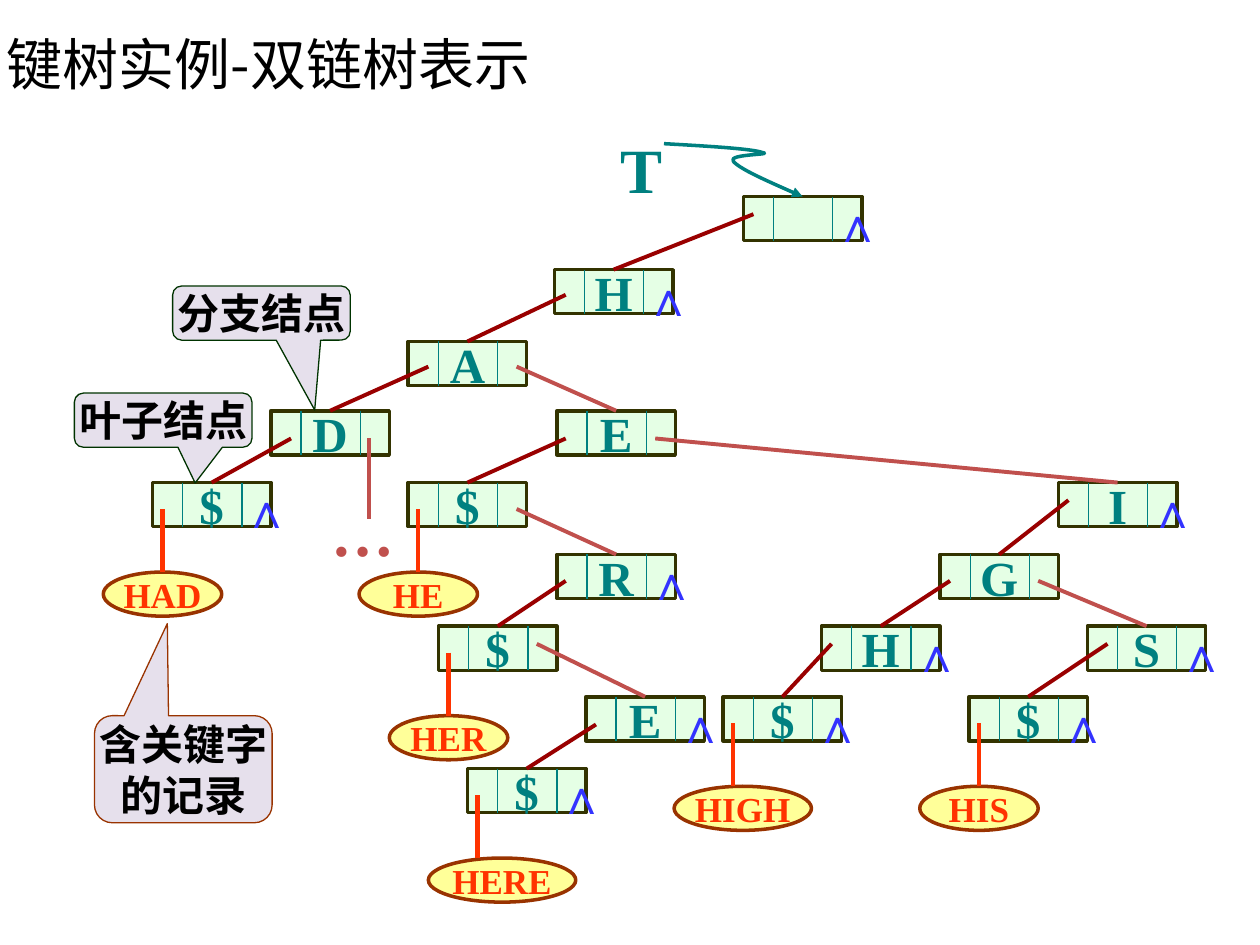
from lxml import etree
from pptx import Presentation
from pptx.dml.color import RGBColor
from pptx.enum.shapes import MSO_CONNECTOR, MSO_SHAPE
from pptx.enum.text import MSO_ANCHOR, MSO_AUTO_SIZE, PP_ALIGN
from pptx.oxml.ns import qn
from pptx.util import Pt

PX = 9144
STRAIGHT = MSO_CONNECTOR.STRAIGHT
RECTANGLE = MSO_SHAPE.RECTANGLE
OVAL = MSO_SHAPE.OVAL
CALLOUT = MSO_SHAPE.ROUNDED_RECTANGULAR_CALLOUT
MIDDLE = MSO_ANCHOR.MIDDLE
FIT_SHAPE = MSO_AUTO_SIZE.SHAPE_TO_FIT_TEXT
NO_FIT = MSO_AUTO_SIZE.NONE
LEFT, CENTER = PP_ALIGN.LEFT, PP_ALIGN.CENTER
SERIF, HEADING, HAN = "Times New Roman", "Noto Sans CJK JP", "Noto Sans CJK SC"

COLORS = {
    "node": "CCFFCC", "node_line": "333300", "teal": "008080", "null": "3333FF",
    "child": "990000", "sibling": "C0504D", "record": "FFFF99",
    "record_line": "993300", "key": "FF3300", "note": "E6E0EC",
    "note_line": "003300", "black": "000000",
}

NODE_W, NODE_H = 94, 35
DIVIDERS = (24, 71)

NODES = {
    "root": ("", 590, 156), "H": ("H", 440, 214), "HA": ("A", 324, 271),
    "HAD": ("D", 215, 326), "HAD$": ("$", 121, 383), "HE": ("E", 442, 326),
    "HE$": ("$", 324, 383), "HER": ("R", 442, 440), "HER$": ("$", 348, 497),
    "HERE": ("E", 465, 553), "HERE$": ("$", 371, 610), "HI": ("I", 840, 383),
    "HIG": ("G", 746, 440), "HIGH": ("H", 652, 497), "HIGH$": ("$", 574, 553),
    "HIS": ("S", 863, 497), "HIS$": ("$", 769, 553),
}
EDGES = [
    ("child", "root", "H", 8, 14), ("child", "H", "HA", 9, 20),
    ("child", "HA", "HAD", 16, 20), ("child", "HAD", "HAD$", 16, 22),
    ("child", "HE", "HE$", 7, 22), ("child", "HER", "HER$", 7, 21),
    ("child", "HERE", "HERE$", 8, 22), ("child", "HI", "HIG", 8, 14),
    ("child", "HIG", "HIGH", 8, 21), ("child", "HIGH", "HIGH$", 8, 14),
    ("child", "HIS", "HIS$", 16, 14), ("sibling", "HA", "HE", 86, 20),
    ("sibling", "HE", "HI", 78, 22), ("sibling", "HE$", "HER", 86, 21),
    ("sibling", "HER$", "HERE", 78, 14), ("sibling", "HIG", "HIS", 78, 21),
]
LAST_SIBLINGS = ["root", "H", "HAD$", "HER", "HERE", "HERE$", "HI", "HIGH",
                 "HIGH$", "HIS", "HIS$"]
RECORDS = [("HAD", -39, 94), ("HE", -39, 94), ("HER", -39, 94),
           ("HERE", -31, 117), ("HIGH", -39, 109), ("HIS", -39, 94)]
NOTES = [
    ("叶子结点", (59, 312, 141, 43), (0.18, 1.16), "note_line"),
    ("分支结点", (137, 227, 141, 43), (0.3, 1.79), "note_line"),
    ("含关键字\n的记录", (75, 568, 141, 85), (-0.09, -1.36), "record_line"),
]


def color(name):
    return RGBColor.from_string(COLORS[name])


def scaled(*lengths):
    return [length * PX for length in lengths]


def write_text(shape, text, size, font, ink, bold=True, align=LEFT,
               wrap=False, anchor=None, fit=NO_FIT):
    frame = shape.text_frame
    frame.text = text
    frame.word_wrap = wrap
    frame.auto_size = fit
    if anchor is not None:
        frame.vertical_anchor = anchor
    for para in frame.paragraphs:
        para.alignment = align
        for span in para.runs:
            span.font.size = Pt(size)
            span.font.name = font
            span.font.bold = bold
            span.font.color.rgb = color(ink)
            east_asian = etree.SubElement(span.font._element, qn("a:ea"))
            east_asian.set("typeface", font)


def add_label(page, box, text, **look):
    write_text(page.shapes.add_textbox(*scaled(*box)), text,
               font=SERIF, fit=FIT_SHAPE, **look)


def add_outlined(page, kind, box, fill, line, weight):
    shape = page.shapes.add_shape(kind, *scaled(*box))
    shape.shadow.inherit = False
    shape.fill.solid()
    shape.fill.fore_color.rgb = color(fill)
    shape.line.color.rgb = color(line)
    shape.line.width = Pt(weight)
    return shape


def add_line(page, start, end, ink, weight, target=None):
    line = page.shapes.add_connector(STRAIGHT, *scaled(*start, *end))
    line.line.color.rgb = color(ink)
    line.line.width = Pt(weight)
    etree.SubElement(line._element.spPr, qn("a:effectLst"))
    if target is not None:
        line.end_connect(target, 0)


def add_title(page, box):
    title = page.shapes.title
    title.left, title.top, title.width, title.height = scaled(*box)
    write_text(title, "键树实例-双链树表示", size=32, font=HEADING, ink="black",
               bold=False, wrap=True, anchor=MIDDLE)


def add_node(page, letter, left, top):
    node = add_outlined(page, RECTANGLE, (left, top, NODE_W, NODE_H),
                        "node", "node_line", 2)
    tint = node.fill._xPr.find(qn("a:solidFill"))[0]
    etree.SubElement(tint, qn("a:alpha")).set("val", "50000")
    if letter:
        write_text(node, letter, size=28, font=SERIF, ink="teal",
                   align=CENTER, anchor=MIDDLE)
    for offset in DIVIDERS:
        add_line(page, (left + offset, top), (left + offset, top + NODE_H),
                 "teal", 0.75)
    return node


def add_record(page, key, left, top, shift, width):
    oval = add_outlined(page, OVAL, (left + shift, top + 71, width, NODE_H),
                        "record", "record_line", 2)
    write_text(oval, key, size=20, font=SERIF, ink="key",
               align=CENTER, anchor=MIDDLE)
    centered = shift + width // 2 == 8
    add_line(page, (left + 8, top + 21), (left + 8, top + 71), "key", 2.5,
             oval if centered else None)


def add_tree(page):
    shapes = {name: add_node(page, *node) for name, node in NODES.items()}
    for kind, source, target, across, down in EDGES:
        _, left, top = NODES[source]
        _, target_left, target_top = NODES[target]
        add_line(page, (left + across, top + down),
                 (target_left + NODE_W // 2, target_top),
                 kind, 2.25, shapes[target])
    for name in LAST_SIBLINGS:
        _, left, top = NODES[name]
        add_label(page, (left + 62, top - 7, 41, 48), "∧", size=28, ink="null")
    for key, shift, width in RECORDS:
        _, left, top = NODES[key + "$"]
        add_record(page, key, left, top, shift, width)


def add_omitted_branch(page, left, top):
    add_line(page, (left + 78, top + 22), (left + 78, top + 86), "sibling", 2.25)
    add_label(page, (left + 38, top + 61, 66, 60), "…", size=36, ink="sibling")


def add_root_pointer(page, left, top):
    add_label(page, (left, top, 52, 60), "T", size=36, ink="teal", wrap=True)
    bends = [(79, 17), (113, 19), (122, 22), (132, 24), (94, 23), (99, 29),
             (104, 35), (129, 46), (154, 57)]
    builder = page.shapes.build_freeform(left + 44, top + 15, scale=PX)
    builder.add_line_segments([(left + x, top + y) for x, y in bends], close=False)
    curve = builder.convert_to_shape()
    segments = list(curve._element.iter(qn("a:lnTo")))
    for first in range(0, len(segments), 3):
        bezier = etree.Element(qn("a:cubicBezTo"))
        segments[first].addprevious(bezier)
        for segment in segments[first:first + 3]:
            bezier.append(segment[0])
            segment.getparent().remove(segment)
    curve.shadow.inherit = False
    curve.fill.background()
    curve.line.color.rgb = color("teal")
    curve.line.width = Pt(2)
    etree.SubElement(curve.line._ln, qn("a:tailEnd")).set("type", "triangle")


def add_note(page, text, box, tip, line):
    note = add_outlined(page, CALLOUT, box, "note", line, 0.75)
    note.adjustments[0], note.adjustments[1] = tip
    write_text(note, text, size=24, font=HAN, ink="black",
               align=CENTER, anchor=MIDDLE)


def main():
    deck = Presentation()
    deck.slide_width, deck.slide_height = scaled(1000, 750)
    page = deck.slides.add_slide(deck.slide_layouts[5])
    add_title(page, (-5, -1, 900, 102))
    add_tree(page)
    add_omitted_branch(page, *NODES["HAD"][1:])
    add_root_pointer(page, 483, 99)
    for note in NOTES:
        add_note(page, *note)
    deck.save("out.pptx")


if __name__ == "__main__":
    main()
